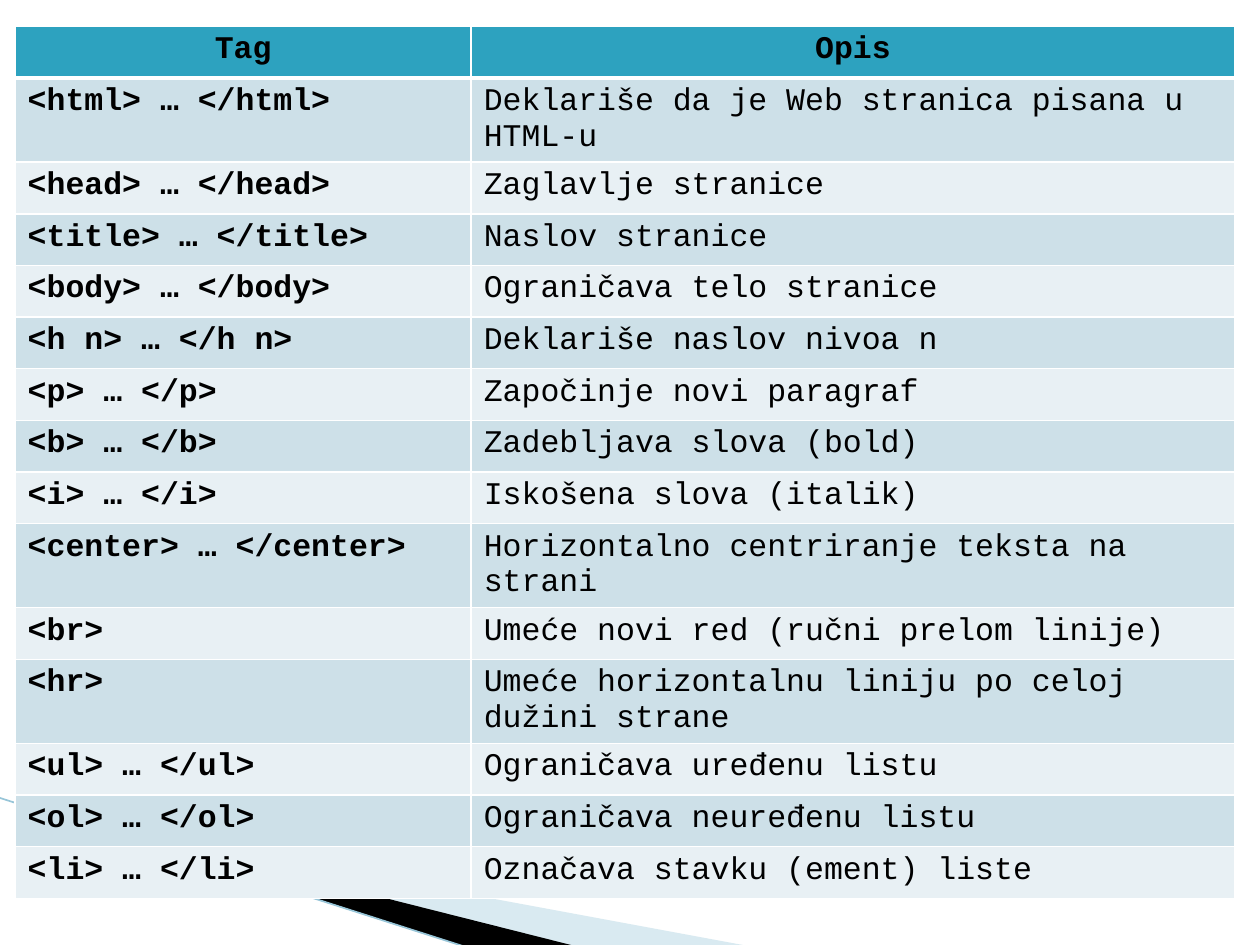
from dataclasses import dataclass

from lxml.etree import SubElement
from pptx import Presentation
from pptx.dml.color import RGBColor as RGB
from pptx.enum.shapes import MSO_CONNECTOR as Connector
from pptx.enum.text import PP_ALIGN as Align
from pptx.oxml.ns import qn
from pptx.util import Inches, Pt

COLORS = {
    "header": "2DA2BF",
    "band_dark": "CDE0E8",
    "band_light": "E8F0F4",
    "border": "FFFFFF",
    "text": "000000",
    "wedge_light": "A0CBDC",
    "wedge_dark": "000000",
    "edge": "97C5D8",
}
FONT = "Courier New"
ROW_HEIGHT = Inches(0.41)
COLUMN_WIDTHS = (Inches(3.62), Inches(6.06))


@dataclass
class Wedge:
    points: list[tuple[float, float]]
    color: str
    opacity: int = 100


@dataclass
class TagRow:
    tag: str
    description: str


WEDGES = [
    Wedge([(0.55, 6.51), (5.95, 7.51), (4.56, 7.51), (0.55, 6.5)], "wedge_light", 40),
    Wedge([(0.53, 6.49), (4.57, 7.51), (3.72, 7.52), (0.54, 6.5)], "wedge_dark"),
]

ROWS = [
    TagRow("Tag", "Opis"),
    TagRow("<html> … </html>", "Deklariše da je Web stranica pisana u HTML-u"),
    TagRow("<head> … </head>", "Zaglavlje stranice"),
    TagRow("<title> … </title>", "Naslov stranice"),
    TagRow("<body> … </body>", "Ograničava telo stranice"),
    TagRow("<h n> … </h n>", "Deklariše naslov nivoa n"),
    TagRow("<p> … </p>", "Započinje novi paragraf"),
    TagRow("<b> … </b>", "Zadebljava slova (bold)"),
    TagRow("<i> … </i>", "Iskošena slova (italik)"),
    TagRow("<center> … </center>", "Horizontalno centriranje teksta na strani"),
    TagRow("<br>", "Umeće novi red (ručni prelom linije)"),
    TagRow("<hr>", "Umeće horizontalnu liniju po celoj dužini strane"),
    TagRow("<ul> … </ul>", "Ograničava uređenu listu"),
    TagRow("<ol> … </ol>", "Ograničava neuređenu listu"),
    TagRow("<li> … </li>", "Označava stavku (ement) liste"),
]


def color(name: str) -> RGB:
    return RGB.from_string(COLORS[name])


def add_wedge(slide, wedge: Wedge) -> None:
    start, *rest = [(Inches(x), Inches(y)) for x, y in wedge.points]
    builder = slide.shapes.build_freeform(*start)
    builder.add_line_segments(rest, close=True)
    sp = builder.convert_to_shape()
    sp.shadow.inherit = False
    sp.line.fill.background()
    sp.fill.solid()
    sp.fill.fore_color.rgb = color(wedge.color)
    if wedge.opacity < 100:
        clr = sp.fill._xPr.find(f".//{qn('a:srgbClr')}")
        SubElement(clr, qn("a:alpha"), val=str(wedge.opacity * 1000))


def add_edge(slide) -> None:
    line = slide.shapes.add_connector(
        Connector.STRAIGHT, Inches(-0.01), Inches(6.33), Inches(3.71), Inches(7.52)
    )
    line.line.color.rgb = color("edge")
    line.line.width = Pt(0.95)
    SubElement(line._element.spPr, qn("a:effectLst"))


def set_borders(cell, top: int, bottom: int) -> None:
    """Border widths are in points; the sides are always 1 pt."""
    tc_pr = cell._tc.get_or_add_tcPr()
    for side, width in (("L", 1), ("R", 1), ("T", top), ("B", bottom)):
        ln = SubElement(tc_pr, qn(f"a:ln{side}"), w=str(Pt(width)))
        fill = SubElement(ln, qn("a:solidFill"))
        SubElement(fill, qn("a:srgbClr"), val=COLORS["border"])


def fill_cell(cell, text: str, row: int, column: int) -> None:
    set_borders(cell, top=3 if row == 1 else 1, bottom=3 if row == 0 else 1)
    band = "band_dark" if row % 2 else "band_light"
    cell.fill.solid()
    cell.fill.fore_color.rgb = color("header" if row == 0 else band)
    cell.text = text
    p = cell.text_frame.paragraphs[0]
    p.alignment = Align.CENTER if row == 0 else Align.LEFT
    p.font.name = FONT
    p.font.size = Pt(18)
    p.font.bold = row == 0 or column == 0
    p.font.color.rgb = color("text")


def add_tag_table(slide) -> None:
    table = slide.shapes.add_table(
        len(ROWS), len(COLUMN_WIDTHS), Inches(0.12), Inches(0.21),
        sum(COLUMN_WIDTHS), ROW_HEIGHT * len(ROWS),
    ).table
    for column, width in zip(table.columns, COLUMN_WIDTHS):
        column.width = width
    for i, row in enumerate(ROWS):
        table.rows[i].height = ROW_HEIGHT
        for j, text in enumerate((row.tag, row.description)):
            fill_cell(table.cell(i, j), text, i, j)


def main() -> None:
    prs = Presentation()
    prs.slide_width, prs.slide_height = Inches(10), Inches(7.5)
    slide = prs.slides.add_slide(prs.slide_layouts[6])
    for wedge in WEDGES:
        add_wedge(slide, wedge)
    add_edge(slide)
    add_tag_table(slide)
    prs.save("out.pptx")


if __name__ == "__main__":
    main()
